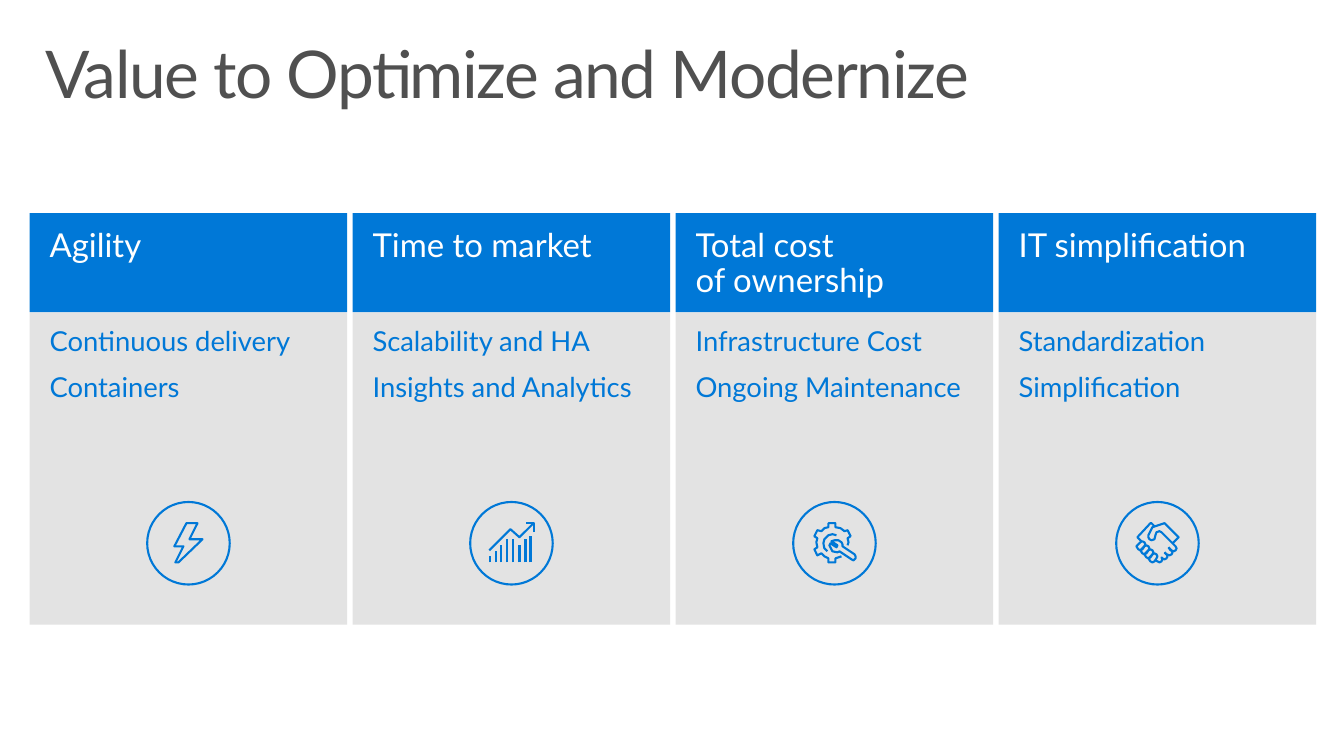
from dataclasses import dataclass

from pptx import Presentation
from pptx.dml.color import RGBColor
from pptx.enum.shapes import MSO_SHAPE
from pptx.enum.text import MSO_ANCHOR, PP_ALIGN
from pptx.util import Cm, Pt


@dataclass(frozen=True)
class Theme:
    font: str = "Lato"
    blue: RGBColor = RGBColor(0x00, 0x78, 0xD7)
    grey: RGBColor = RGBColor(0xE3, 0xE3, 0xE3)
    dark: RGBColor = RGBColor(0x50, 0x50, 0x50)
    white: RGBColor = RGBColor(0xFF, 0xFF, 0xFF)
    title_size: float = 47
    header_size: float = 23.5
    body_size: float = 19.6
    icon_line: float = 1.5


THEME = Theme()
TITLE = "Value to Optimize and Modernize"

BOLT = [
    [(31, 60), (55, 37), (42, 37), (50, 21), (39, 21), (27, 44), (36, 44), (28, 60), (31, 60)],
]

BAR_TOPS = {20: 54, 26: 49, 31: 43, 37: 37, 43: 37, 49: 43, 55: 37, 60: 34}
GROWTH = [[(x, 60), (x, top)] for x, top in BAR_TOPS.items()] + [
    [(63, 21), (49, 35), (40, 27), (19, 48)],
    [(63, 30), (63, 21), (55, 21)],
]

GEAR_AND_WRENCH = [
    [(48, 54), (42, 56), (42, 60), (35, 60), (35, 56), (31, 54), (28, 51), (24, 53),
     (21, 47), (24, 45), (23, 40), (24, 36), (21, 34), (24, 28), (28, 29), (31, 26),
     (35, 25), (35, 21), (42, 21), (42, 25), (47, 26), (51, 29), (54, 28), (57, 34),
     (54, 36), (55, 40), (54, 43)],
    [(43, 33), (39, 32), (35, 33), (31, 37), (30, 41), (31, 46), (34, 49)],
    [(46, 49), (58, 57), (60, 57.5), (62, 56), (62.5, 54), (61, 52), (49, 44), (49, 42),
     (48, 40), (45, 38), (41, 38), (38, 39), (44, 43), (43, 45), (37, 41), (36, 43),
     (37, 45), (39, 49), (44, 50), (46, 49)],
]

KNUCKLE = [(22, 42), (20.5, 44.5), (22, 47), (24, 48), (26, 47), (28, 44),
           (29, 42), (28, 40), (26, 39), (24, 40), (22, 42)]
HANDSHAKE = [[(x + shift, y + shift) for x, y in KNUCKLE] for shift in (0, 4, 8, 12)] + [
    [(25, 39), (21, 35), (34, 21), (35, 21), (38, 24)],
    [(48, 50), (50, 52), (53, 53), (55, 52), (56, 50), (55, 48), (52, 45)],
    [(39, 58), (41, 59), (43, 60), (45, 59), (46, 57), (45, 55), (46, 56), (48, 57),
     (50, 56), (51, 54), (50, 52), (48, 50)],
    [(56, 41), (62, 35), (48, 21), (36, 25), (32, 33), (32, 35), (33, 37), (35, 38),
     (38, 37), (39, 33), (40, 30), (43, 29), (45, 30), (59, 44), (60, 46), (59, 48),
     (57, 49), (54, 48), (52, 45)],
]

COLUMNS = [
    ("Agility", ["Continuous delivery", "Containers"], BOLT),
    ("Time to market", ["Scalability and HA", "Insights and Analytics"], GROWTH),
    ("Total cost\vof ownership", ["Infrastructure Cost", "Ongoing Maintenance"], GEAR_AND_WRENCH),
    ("IT simplification", ["Standardization", "Simplification"], HANDSHAKE),
]

COLUMN_LEFT, COLUMN_PITCH, COLUMN_WIDTH = Cm(0.75), Cm(8.14), Cm(8)
HEADER_TOP, HEADER_HEIGHT, BODY_HEIGHT = Cm(5.37), Cm(2.5), Cm(7.87)
CIRCLE_TOP, CIRCLE_SIZE = Cm(12.65), Cm(2.08)
ICON_UNIT = CIRCLE_SIZE / 82


def write(shape, lines, size, color, inset_x, inset_y, gap=0):
    frame = shape.text_frame
    frame.word_wrap = True
    frame.vertical_anchor = MSO_ANCHOR.TOP
    frame.margin_left = frame.margin_right = inset_x
    frame.margin_top = frame.margin_bottom = inset_y
    frame.text = "\n".join(lines)
    for index, para in enumerate(frame.paragraphs):
        para.alignment = PP_ALIGN.LEFT
        para.line_spacing = 0.9
        para.space_before = Pt(gap if index else 0)
        para.space_after = Pt(gap)
        for span in para.runs:
            span.font.name = THEME.font
            span.font.size = Pt(size)
            span.font.color.rgb = color


def add_panel(page, left, top, height, fill, lines, size, color, gap=0):
    panel = page.shapes.add_shape(MSO_SHAPE.RECTANGLE, left, top, COLUMN_WIDTH, height)
    panel.shadow.inherit = False
    panel.fill.solid()
    panel.fill.fore_color.rgb = fill
    panel.line.fill.background()
    write(panel, lines, size, color, Cm(0.5), Cm(0.4), gap)


def add_icon(page, left, strokes):
    group = page.shapes.add_group_shape()
    start = strokes[0][0]
    builder = group.shapes.build_freeform(*start, scale=ICON_UNIT)
    for stroke in strokes:
        builder.move_to(*stroke[0])
        builder.add_line_segments(stroke[1:], close=stroke[0] == stroke[-1])
    drawing = builder.convert_to_shape(left, CIRCLE_TOP)
    circle = group.shapes.add_shape(MSO_SHAPE.OVAL, left, CIRCLE_TOP, CIRCLE_SIZE, CIRCLE_SIZE)
    for shape in (drawing, circle):
        shape.shadow.inherit = False
        shape.fill.background()
        shape.line.color.rgb = THEME.blue
        shape.line.width = Pt(THEME.icon_line)


def main():
    deck = Presentation()
    deck.slide_width, deck.slide_height = Cm(33.87), Cm(19.05)
    page = deck.slides.add_slide(deck.slide_layouts[6])

    title = page.shapes.add_textbox(Cm(0.75), Cm(0.81), Cm(32.39), Cm(2.5))
    write(title, [TITLE], THEME.title_size, THEME.dark, Cm(0.4), Cm(0.25))
    for span in title.text_frame.paragraphs[0].runs:
        span._r.get_or_add_rPr().set("spc", "-100")

    for index, (heading, benefits, strokes) in enumerate(COLUMNS):
        left = COLUMN_LEFT + index * COLUMN_PITCH
        add_panel(page, left, HEADER_TOP + HEADER_HEIGHT, BODY_HEIGHT, THEME.grey,
                  benefits, THEME.body_size, THEME.blue, gap=5.9)
        add_panel(page, left, HEADER_TOP, HEADER_HEIGHT, THEME.blue,
                  [heading], THEME.header_size, THEME.white)
        add_icon(page, left + (COLUMN_WIDTH - CIRCLE_SIZE) // 2, strokes)

    deck.save("out.pptx")


if __name__ == "__main__":
    main()
